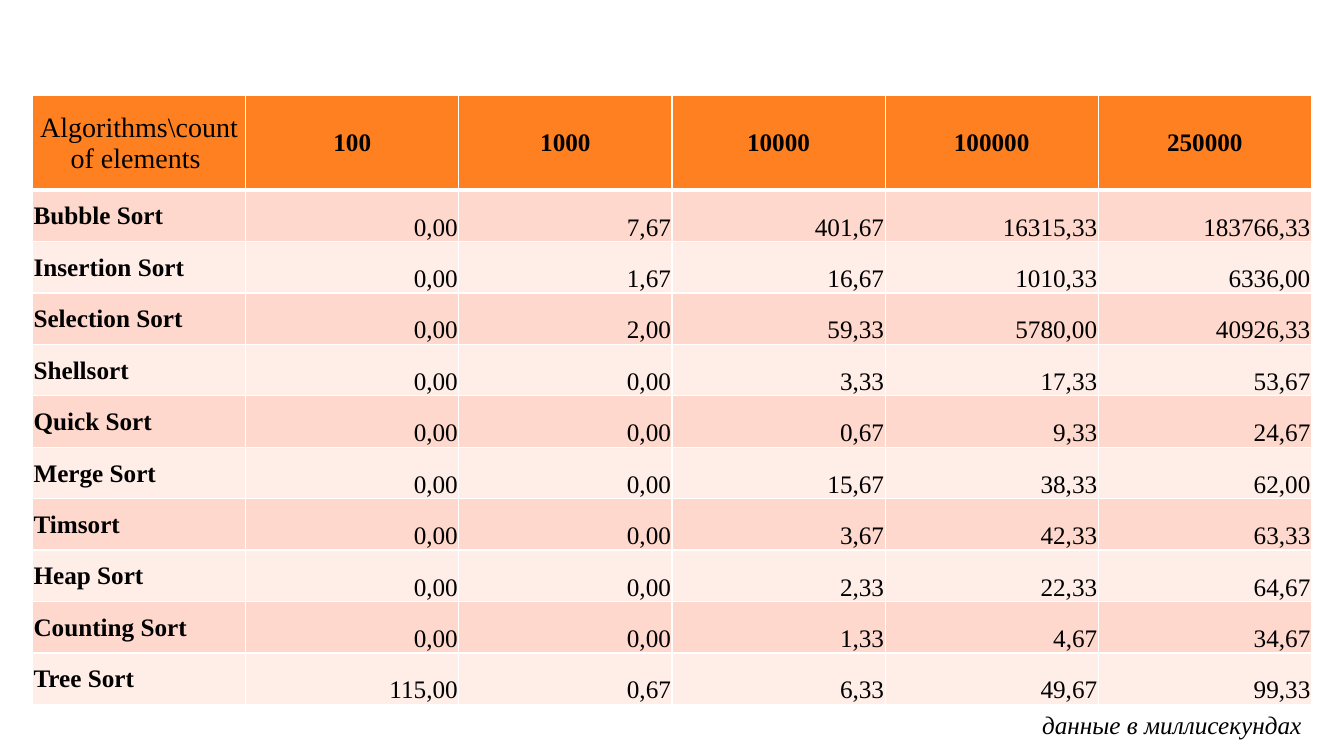
import pptx
import pptx.util
import pptx.dml.color
import pptx.enum.text
import pptx.oxml
import pptx.oxml.ns

PX = 9525  # EMU per px, 96 px to the inch
FONT = "Times New Roman"
COLORS = {
    "text": "000000",
    "border": "FFFFFF",
    "header": "FF8021",
    "odd_row": "FFD8CD",
    "even_row": "FFEDE8",
}
ALIGN = pptx.enum.text.PP_ALIGN
ANCHOR = pptx.enum.text.MSO_ANCHOR

COUNTS = ["100", "1000", "10000", "100000", "250000"]
TIMINGS = [
    ["Bubble Sort", "0,00", "7,67", "401,67", "16315,33", "183766,33"],
    ["Insertion Sort", "0,00", "1,67", "16,67", "1010,33", "6336,00"],
    ["Selection Sort", "0,00", "2,00", "59,33", "5780,00", "40926,33"],
    ["Shellsort", "0,00", "0,00", "3,33", "17,33", "53,67"],
    ["Quick Sort", "0,00", "0,00", "0,67", "9,33", "24,67"],
    ["Merge Sort", "0,00", "0,00", "15,67", "38,33", "62,00"],
    ["Timsort", "0,00", "0,00", "3,67", "42,33", "63,33"],
    ["Heap Sort", "0,00", "0,00", "2,33", "22,33", "64,67"],
    ["Counting Sort", "0,00", "0,00", "1,33", "4,67", "34,67"],
    ["Tree Sort", "115,00", "0,67", "6,33", "49,67", "99,33"],
]
GRID = [["Algorithms\\count of elements ", *COUNTS], *TIMINGS]
HEADER_HEIGHT, ROW_HEIGHT, COLUMN_WIDTH = 90, 49, 203


def style_text(paragraph, align, size, bold=False, italic=False):
    paragraph.alignment = align
    font = paragraph.font
    font.name, font.size = FONT, pptx.util.Pt(size)
    font.bold, font.italic = bold, italic
    font.color.rgb = pptx.dml.color.RGBColor.from_string(COLORS["text"])


def add_borders(cell, widths):
    """Draw solid cell borders; widths maps L, R, T, B (in that order) to points."""
    properties = cell._tc.get_or_add_tcPr()
    for place, (side, points) in enumerate(widths.items()):
        properties.insert(place, pptx.oxml.parse_xml(
            f'<a:ln{side} {pptx.oxml.ns.nsdecls("a")} w="{pptx.util.Pt(points)}">'
            f'<a:solidFill><a:srgbClr val="{COLORS["border"]}"/></a:solidFill>'
            f'</a:ln{side}>'))


presentation = pptx.Presentation()
presentation.slide_width = 1280 * PX
presentation.slide_height = 720 * PX
slide = presentation.slides.add_slide(presentation.slide_layouts[6])

# Table of sorting times
timing_table = slide.shapes.add_table(
    len(GRID), len(GRID[0]), 31 * PX, 91 * PX,
    COLUMN_WIDTH * len(GRID[0]) * PX,
    (HEADER_HEIGHT + ROW_HEIGHT * len(TIMINGS)) * PX).table
for column in timing_table.columns:
    column.width = COLUMN_WIDTH * PX

for r, row in enumerate(GRID):
    timing_table.rows[r].height = (ROW_HEIGHT if r else HEADER_HEIGHT) * PX
    row_color = COLORS[("even_row", "odd_row")[r % 2] if r else "header"]
    for c, text in enumerate(row):
        cell = timing_table.cell(r, c)
        cell.text = text
        cell.margin_left = cell.margin_right = cell.margin_top = PX
        cell.margin_bottom = 0
        cell.fill.solid()
        cell.fill.fore_color.rgb = pptx.dml.color.RGBColor.from_string(row_color)
        add_borders(cell, {"L": 1, "R": 1, "T": 3 if r == 1 else 1, "B": 1 if r else 3})

        is_time = r > 0 and c > 0
        is_corner = r == 0 and c == 0
        cell.vertical_anchor = ANCHOR.BOTTOM if is_time else ANCHOR.MIDDLE
        align = ALIGN.CENTER if r == 0 else ALIGN.RIGHT if c else ALIGN.LEFT
        style_text(cell.text_frame.paragraphs[0], align, 20 if is_corner else 18,
                   bold=not (is_time or is_corner))

# Note on units
units_note = slide.shapes.add_textbox(929 * PX, 671 * PX, 320 * PX, 38 * PX).text_frame
units_note.word_wrap = True
units_note.text = "данные в миллисекундах"
style_text(units_note.paragraphs[0], ALIGN.RIGHT, 18, italic=True)

presentation.save("out.pptx")
